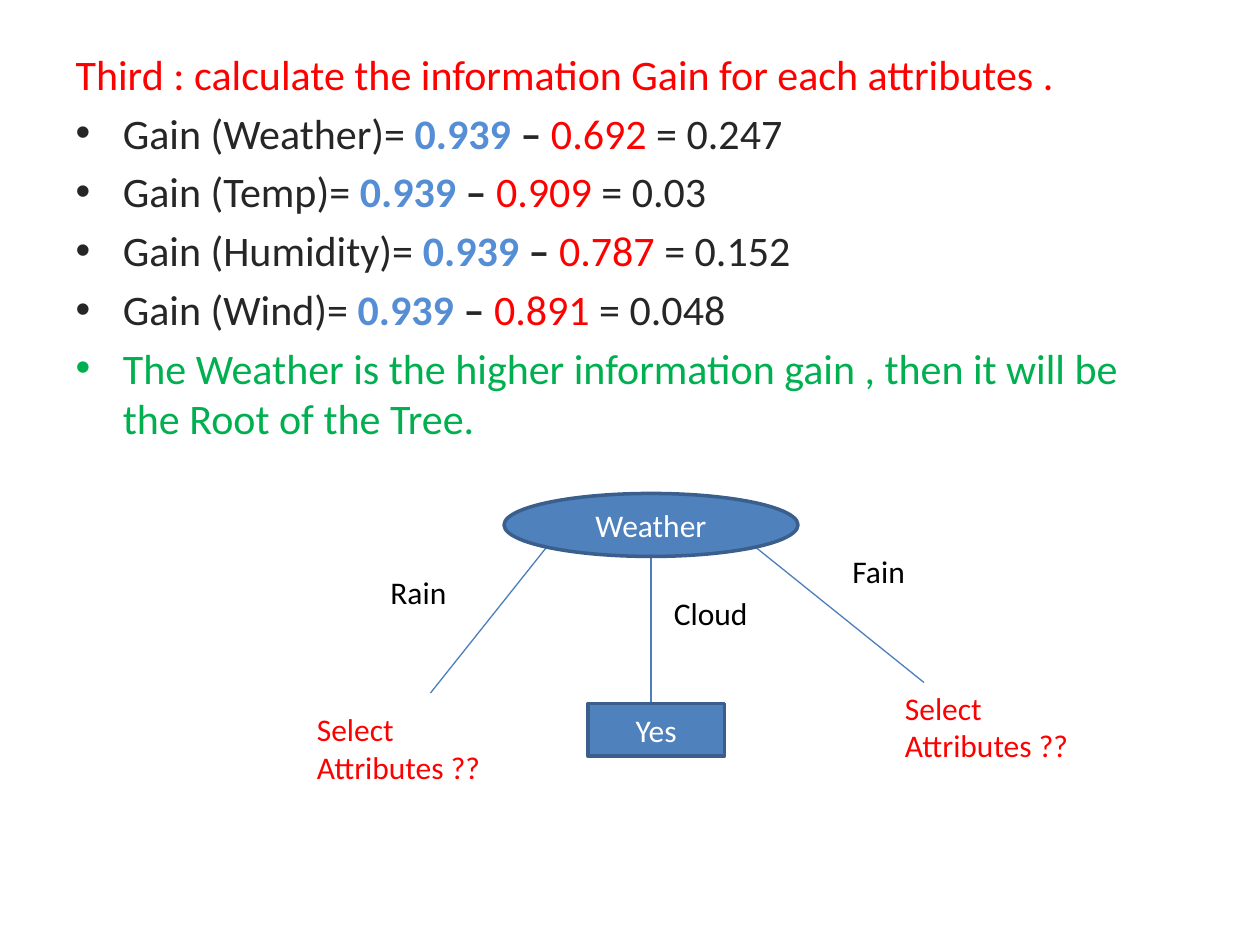
import pptx
import pptx.dml.color
import pptx.enum.shapes
import pptx.enum.text
import pptx.oxml.ns
import pptx.util
from lxml import etree

Pt = pptx.util.Pt
RGBColor = pptx.dml.color.RGBColor
Shape = pptx.enum.shapes.MSO_SHAPE
Align = pptx.enum.text.PP_ALIGN
qn = pptx.oxml.ns.qn

RED = RGBColor(0xFF, 0x00, 0x00)
GREEN = RGBColor(0x00, 0xB0, 0x50)
BLUE = RGBColor(0x55, 0x8E, 0xD5)
DARK = RGBColor(0x26, 0x26, 0x26)
BLACK = RGBColor(0x00, 0x00, 0x00)
WHITE = RGBColor(0xFF, 0xFF, 0xFF)
NODE_FILL = RGBColor(0x4F, 0x81, 0xBD)
NODE_LINE = RGBColor(0x3A, 0x5F, 0x8C)
BRANCH = RGBColor(0x4B, 0x7E, 0xBC)
FONT = "Calibri"

ENTROPY = "0.939"
GAINS = [
    ("Weather", "0.692", "0.247"),
    ("Temp", "0.909", "0.03"),
    ("Humidity", "0.787", "0.152"),
    ("Wind", "0.891", "0.048"),
]


def format_span(span, size, color, bold=False):
    span.font.name = FONT
    span.font.size = Pt(size)
    span.font.bold = bold
    span.font.color.rgb = color


def add_gain_list(page, left, top, width, height):
    body = page.placeholders[1]
    body.left, body.top, body.width, body.height = map(Pt, (left, top, width, height))
    frame = body.text_frame
    frame.auto_size = pptx.enum.text.MSO_AUTO_SIZE.NONE

    lines = [[("Third : calculate the information Gain for each attributes .", RED, False)]]
    for name, remainder, gain in GAINS:
        lines.append([
            (f"Gain ({name})= ", DARK, False),
            (f"{ENTROPY} ", BLUE, True),
            ("–", DARK, True),
            (f" {remainder} ", RED, False),
            (f"= {gain}", DARK, False),
        ])
    lines.append([("The Weather is the higher information gain , "
                   "then it will be the Root of the Tree.", GREEN, False)])

    for index, parts in enumerate(lines):
        para = frame.add_paragraph() if index else frame.paragraphs[0]
        for words, color, bold in parts:
            span = para.add_run()
            span.text = words
            format_span(span, 24, color, bold)
    # The heading line carries no bullet
    etree.SubElement(frame.paragraphs[0]._p.get_or_add_pPr(), qn("a:buNone"))


def add_branch(page, start, end):
    line = page.shapes.add_connector(
        pptx.enum.shapes.MSO_CONNECTOR.STRAIGHT, *map(Pt, start + end))
    line.line.color.rgb = BRANCH
    line.line.width = Pt(0.75)
    etree.SubElement(line._element.spPr, qn("a:effectLst"))


def add_node(page, kind, words, left, top, width, height):
    node = page.shapes.add_shape(kind, *map(Pt, (left, top, width, height)))
    node.shadow.inherit = False
    node.fill.solid()
    node.fill.fore_color.rgb = NODE_FILL
    node.line.color.rgb = NODE_LINE
    node.line.width = Pt(2)
    frame = node.text_frame
    frame.text = words
    frame.vertical_anchor = pptx.enum.text.MSO_ANCHOR.MIDDLE
    frame.paragraphs[0].alignment = Align.CENTER
    format_span(frame.paragraphs[0].runs[0], 18, WHITE)


def add_label(page, words, color, left, top, width, height):
    box = page.shapes.add_textbox(*map(Pt, (left, top, width, height)))
    frame = box.text_frame
    frame.word_wrap = True
    frame.text = words
    for para in frame.paragraphs:
        format_span(para.runs[0], 18, color)


def add_tree(page, left, top):
    # Branches from the root
    for x1, y1, x2, y2 in [(138.5, 30.5, 72, 114),
                           (198, 36, 198, 120),
                           (257.5, 30.5, 354, 108)]:
        add_branch(page, (left + x1, top + y1), (left + x2, top + y2))

    # Root and leaf
    add_node(page, Shape.OVAL, "Weather", left + 114, top, 168, 36)
    add_node(page, Shape.RECTANGLE, "Yes", left + 162, top + 120, 78, 30)

    # Branch values
    for words, x, y in [("Rain", 42, 42), ("Cloud", 204, 54), ("Fain", 306, 30)]:
        add_label(page, words, BLACK, left + x, top + y, 84, 29)

    # Open ends of the tree
    for x, y in [(0, 120), (336, 108)]:
        add_label(page, "Select\nAttributes ??", RED, left + x, top + y, 126, 51)


def main():
    deck = pptx.Presentation()
    deck.slide_width, deck.slide_height = Pt(720), Pt(540)
    page = deck.slides.add_slide(deck.slide_layouts[1])
    title = page.shapes.title._element
    title.getparent().remove(title)
    add_gain_list(page, 36, 24, 648, 486)
    add_tree(page, 174, 282)
    deck.save("out.pptx")


if __name__ == "__main__":
    main()
